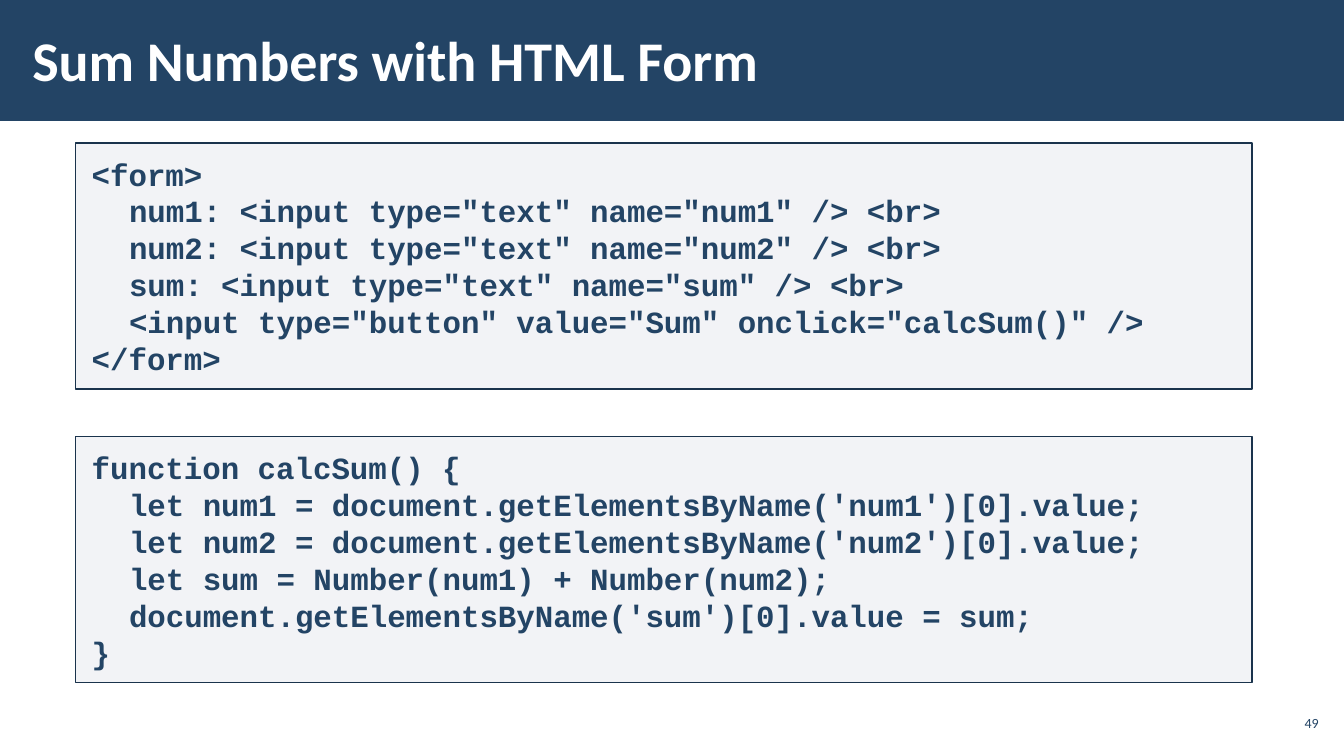
from dataclasses import dataclass

from lxml.etree import SubElement
from pptx import Presentation
from pptx.dml.color import RGBColor
from pptx.enum.shapes import MSO_SHAPE
from pptx.enum.text import MSO_ANCHOR, PP_ALIGN
from pptx.oxml.ns import qn
from pptx.util import Inches, Pt


@dataclass(frozen=True)
class Theme:
    navy: str = "234465"
    white: str = "FFFFFF"
    code_fill: str = "ADB4C3"
    code_border: str = "1A334C"
    code_opacity: int = 15
    body_font: str = "Calibri"
    code_font: str = "Courier New"
    title_size: int = 40
    code_size: int = 22
    number_size: int = 10
    code_indent: float = 0.37


FORM_CODE = [
    (0, '<form>'),
    (1, 'num1: <input type="text" name="num1" /> <br>'),
    (1, 'num2: <input type="text" name="num2" /> <br>'),
    (1, 'sum: <input type="text" name="sum" /> <br>'),
    (1, '<input type="button" value="Sum" onclick="calcSum()" />'),
    (0, '</form>'),
]
FUNCTION_CODE = [
    (0, "function calcSum() {"),
    (1, "let num1 = document.getElementsByName('num1')[0].value;"),
    (1, "let num2 = document.getElementsByName('num2')[0].value;"),
    (1, "let sum = Number(num1) + Number(num2);"),
    (1, "document.getElementsByName('sum')[0].value = sum;"),
    (0, "}"),
]


def write(paragraph, text, *, font, size, color, bold=False,
          align=PP_ALIGN.LEFT, indent=0):
    run = paragraph.add_run()
    run.text = text
    run.font.name = font
    run.font.size = Pt(size)
    run.font.bold = bold
    run.font.color.rgb = RGBColor.from_string(color)
    paragraph.alignment = align
    if indent:
        properties = paragraph._p.get_or_add_pPr()
        properties.set("marL", str(Inches(indent)))
        properties.set("indent", "0")


class SlideBuilder:
    def __init__(self, slide, theme):
        self.slide = slide
        self.theme = theme

    def panel(self, left, top, width, height, fill, opacity=100, border=None):
        panel = self.slide.shapes.add_shape(
            MSO_SHAPE.RECTANGLE, Inches(left), Inches(top), Inches(width), Inches(height))
        panel.shadow.inherit = False
        panel.fill.solid()
        panel.fill.fore_color.rgb = RGBColor.from_string(fill)
        if opacity < 100:
            color = panel._element.spPr.find(f"{qn('a:solidFill')}/{qn('a:srgbClr')}")
            SubElement(color, qn("a:alpha")).set("val", str(opacity * 1000))
        if border:
            panel.line.color.rgb = RGBColor.from_string(border)
            panel.line.width = Pt(1)
        else:
            panel.line.fill.background()
        return panel

    def frame(self, owner, side, edge, anchor):
        frame = owner.text_frame
        frame.word_wrap = True
        frame.vertical_anchor = anchor
        frame.margin_left = frame.margin_right = Inches(side)
        frame.margin_top = frame.margin_bottom = Inches(edge)
        return frame

    def label(self, left, top, width, height, text, side, **style):
        label = self.slide.shapes.add_textbox(
            Inches(left), Inches(top), Inches(width), Inches(height))
        frame = self.frame(label, side, 0.04, MSO_ANCHOR.MIDDLE)
        write(frame.paragraphs[0], text, font=self.theme.body_font, **style)

    def code(self, top, lines):
        theme = self.theme
        listing = self.panel(0.75, top, 11.67, 2.44, theme.code_fill,
                             theme.code_opacity, theme.code_border)
        frame = self.frame(listing, 0.16, 0.12, MSO_ANCHOR.TOP)
        for position, (level, text) in enumerate(lines):
            paragraph = frame.add_paragraph() if position else frame.paragraphs[0]
            write(paragraph, text, font=theme.code_font, size=theme.code_size,
                  color=theme.navy, bold=True, indent=level * theme.code_indent)


def main():
    theme = Theme()
    deck = Presentation()
    deck.slide_width = Inches(13.33)
    deck.slide_height = Inches(7.5)
    builder = SlideBuilder(deck.slides.add_slide(deck.slide_layouts[6]), theme)

    builder.panel(0, 0, 13.33, 1.2, theme.navy)
    builder.label(0.2, 0.11, 10.62, 0.96, "Sum Numbers with HTML Form", 0.12,
                  size=theme.title_size, color=theme.white, bold=True)
    builder.label(12.65, 7, 0.47, 0.34, "49", 0.04,
                  size=theme.number_size, color=theme.navy, align=PP_ALIGN.RIGHT)
    builder.code(1.42, FORM_CODE)
    builder.code(4.33, FUNCTION_CODE)

    deck.save("out.pptx")


if __name__ == "__main__":
    main()
